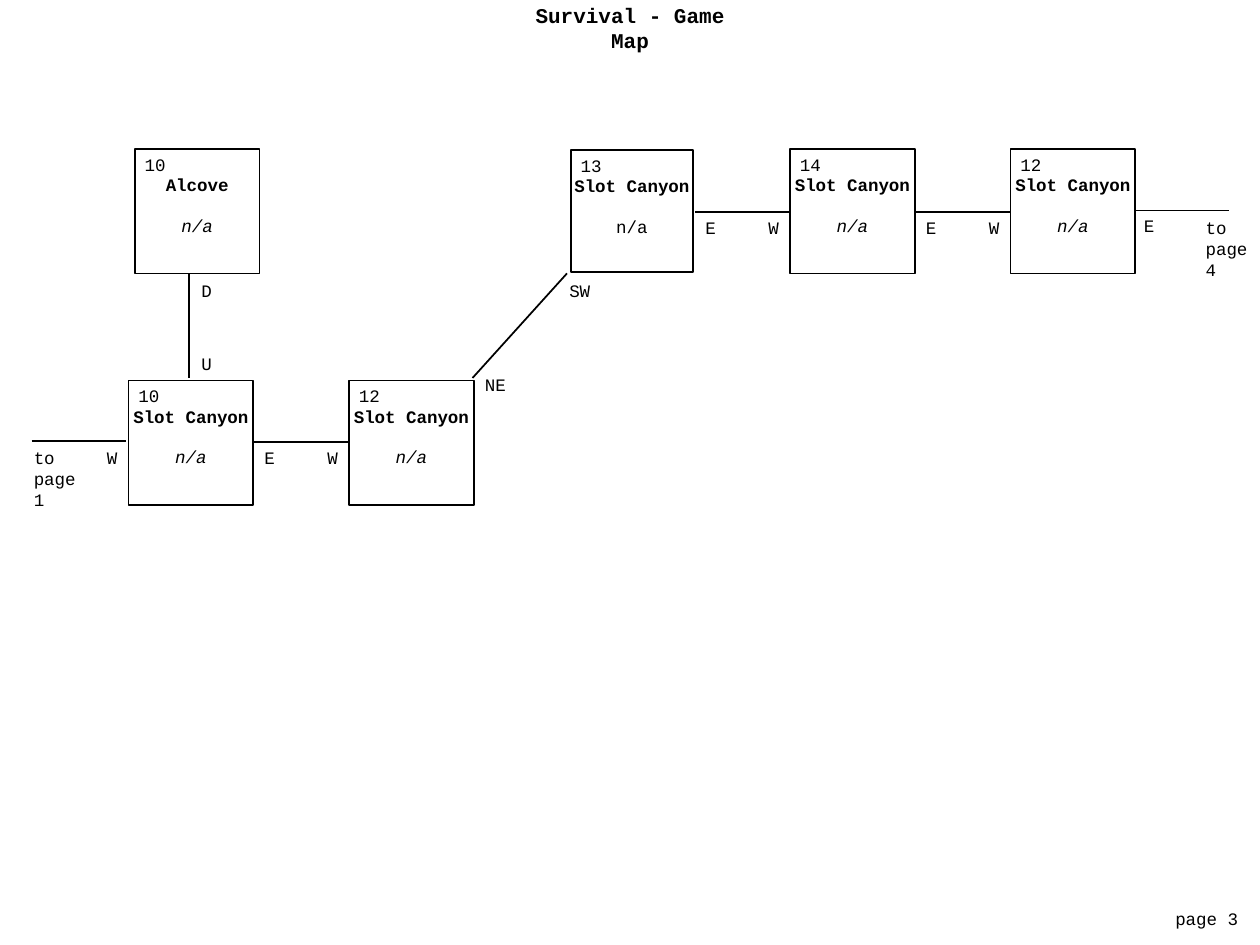
from dataclasses import dataclass

from lxml.etree import SubElement
from pptx import Presentation
from pptx.dml.color import RGBColor
from pptx.enum.shapes import MSO_CONNECTOR, MSO_SHAPE
from pptx.enum.text import MSO_ANCHOR, MSO_AUTO_SIZE, PP_ALIGN
from pptx.oxml.ns import qn
from pptx.util import Inches, Pt


@dataclass(frozen=True)
class Theme:
    font: str = "Courier New"
    ink: RGBColor = RGBColor(0, 0, 0)
    title_size: float = 12
    body_size: float = 10
    line_width: float = 1
    line_height: float = 1.13


ROOM_SIZE = 0.99
PASSAGE_LENGTH = 0.75

# left, top, size, number, name, whether the note is italic
ROOMS = [
    (4.53, 1.19, 0.97, "13", "Slot Canyon", False),
    (6.27, 1.18, ROOM_SIZE, "14", "Slot Canyon", True),
    (8.02, 1.18, ROOM_SIZE, "12", "Slot Canyon", True),
    (1.07, 1.18, ROOM_SIZE, "10", "Alcove", True),
    (1.02, 3.02, ROOM_SIZE, "10", "Slot Canyon", True),
    (2.77, 3.02, ROOM_SIZE, "12", "Slot Canyon", True),
]

# left end and height of each east-west passage between two rooms
LEVEL_PASSAGES = [(5.52, 1.68), (7.27, 1.68), (2.02, 3.51)]

# start, end
OTHER_PASSAGES = [
    ((9, 1.67), (9.75, 1.67)),
    ((0.25, 3.5), (1, 3.5)),
    ((1.5, 2.17), (1.5, 3)),
    ((3.75, 3), (4.5, 2.17)),
]

# left, top, lines
EXIT_LABELS = [
    (8.98, 1.66, ["E"]),
    (9.47, 1.67, ["to", "page", "4"]),
    (0.75, 3.5, ["W"]),
    (0.17, 3.5, ["to", "page", "1"]),
    (1.5, 2.17, ["D"]),
    (1.5, 2.75, ["U"]),
    (4.42, 2.17, ["SW"]),
    (3.75, 2.92, ["NE"]),
]


class GameMap:
    def __init__(self, slide, theme):
        self.slide = slide
        self.theme = theme

    def text_width(self, lines, size):
        """Width in inches of monospaced lines with their side margins."""
        return 0.2 + max(map(len, lines)) * size * 0.6 / 72

    def set_text(self, frame, lines, size, align=PP_ALIGN.LEFT):
        frame.word_wrap = False
        frame.auto_size = MSO_AUTO_SIZE.SHAPE_TO_FIT_TEXT
        frame.vertical_anchor = MSO_ANCHOR.TOP
        frame.text = "\n".join(lines)
        for paragraph in frame.paragraphs:
            paragraph.alignment = align
            paragraph.font.name = self.theme.font
            paragraph.font.size = Pt(size)
            paragraph.font.color.rgb = self.theme.ink
        return frame.paragraphs

    def title(self, text):
        heading = self.slide.shapes.title
        size = self.theme.title_size
        width = self.text_width([text], size)
        heading.left, heading.top = Inches(5 - width / 2), Inches(-0.03)
        heading.width, heading.height = Inches(width), Inches(0.3)
        line, = self.set_text(heading.text_frame, [text], size, PP_ALIGN.CENTER)
        line.font.bold = True

    def label(self, left, top, lines, parent=None):
        shapes = (parent or self.slide).shapes
        size = self.theme.body_size
        height = 0.1 + len(lines) * size * self.theme.line_height / 72
        box = shapes.add_textbox(Inches(left), Inches(top),
                                 Inches(self.text_width(lines, size)), Inches(height))
        return self.set_text(box.text_frame, lines, size)

    def room(self, left, top, side, number, name, italic_note):
        group = self.slide.shapes.add_group_shape()
        wall = group.shapes.add_shape(MSO_SHAPE.RECTANGLE, Inches(left), Inches(top),
                                      Inches(side), Inches(side))
        wall.shadow.inherit = False
        wall.fill.background()
        wall.line.color.rgb = self.theme.ink
        wall.line.width = Pt(self.theme.line_width)

        name_width = self.text_width([name], self.theme.body_size)
        heading, note = self.label(left + (side - name_width) / 2, top + 0.15,
                                   [name, "n/a"], group)
        heading.alignment = note.alignment = PP_ALIGN.CENTER
        heading.font.bold = True
        note.font.italic = italic_note
        note.space_before = Pt(self.theme.body_size * self.theme.line_height)
        self.label(left - 0.02, top - 0.01, [number], group)

    def passage(self, start, end):
        line = self.slide.shapes.add_connector(
            MSO_CONNECTOR.STRAIGHT, *(Inches(value) for value in (*start, *end)))
        line.line.color.rgb = self.theme.ink
        line.line.width = Pt(self.theme.line_width)
        SubElement(line._element.spPr, qn("a:effectLst"))

    def level_passage(self, left, y):
        """Join two rooms side by side and name both exits."""
        right = left + PASSAGE_LENGTH
        self.passage((left, y), (right, y))
        self.label(left - 0.02, y - 0.01, ["E"])
        self.label(right - 0.27, y - 0.01, ["W"])


def main():
    deck = Presentation()
    deck.slide_width, deck.slide_height = Inches(10), Inches(7.5)
    title_only = deck.slide_layouts[5]
    game_map = GameMap(deck.slides.add_slide(title_only), Theme())

    game_map.title("Survival - Game Map")
    for room in ROOMS:
        game_map.room(*room)
    for left, y in LEVEL_PASSAGES:
        game_map.level_passage(left, y)
    for start, end in OTHER_PASSAGES:
        game_map.passage(start, end)
    for exit_label in EXIT_LABELS:
        game_map.label(*exit_label)
    game_map.label(9.23, 7.16, ["page 3"])

    deck.save("out.pptx")


if __name__ == "__main__":
    main()
